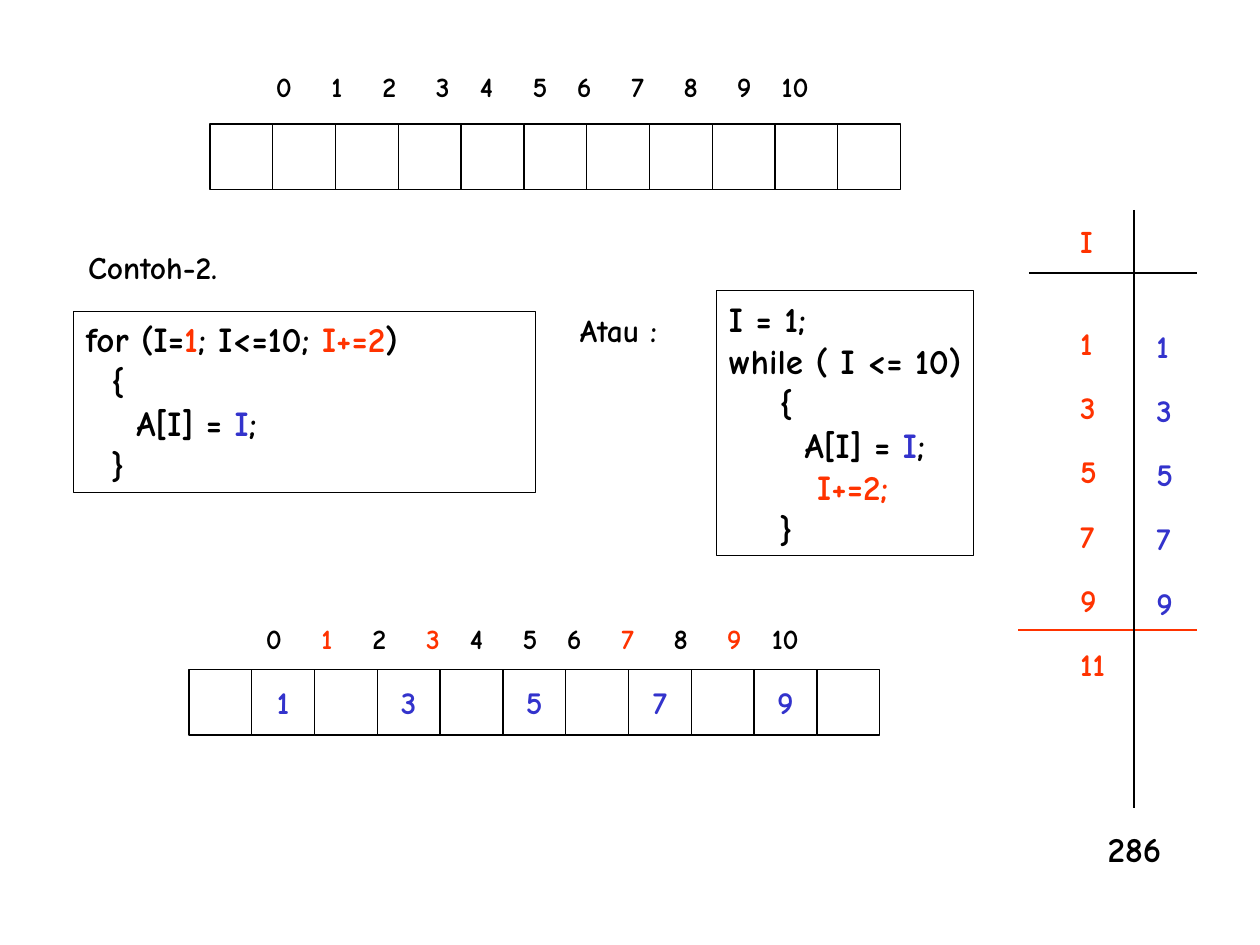
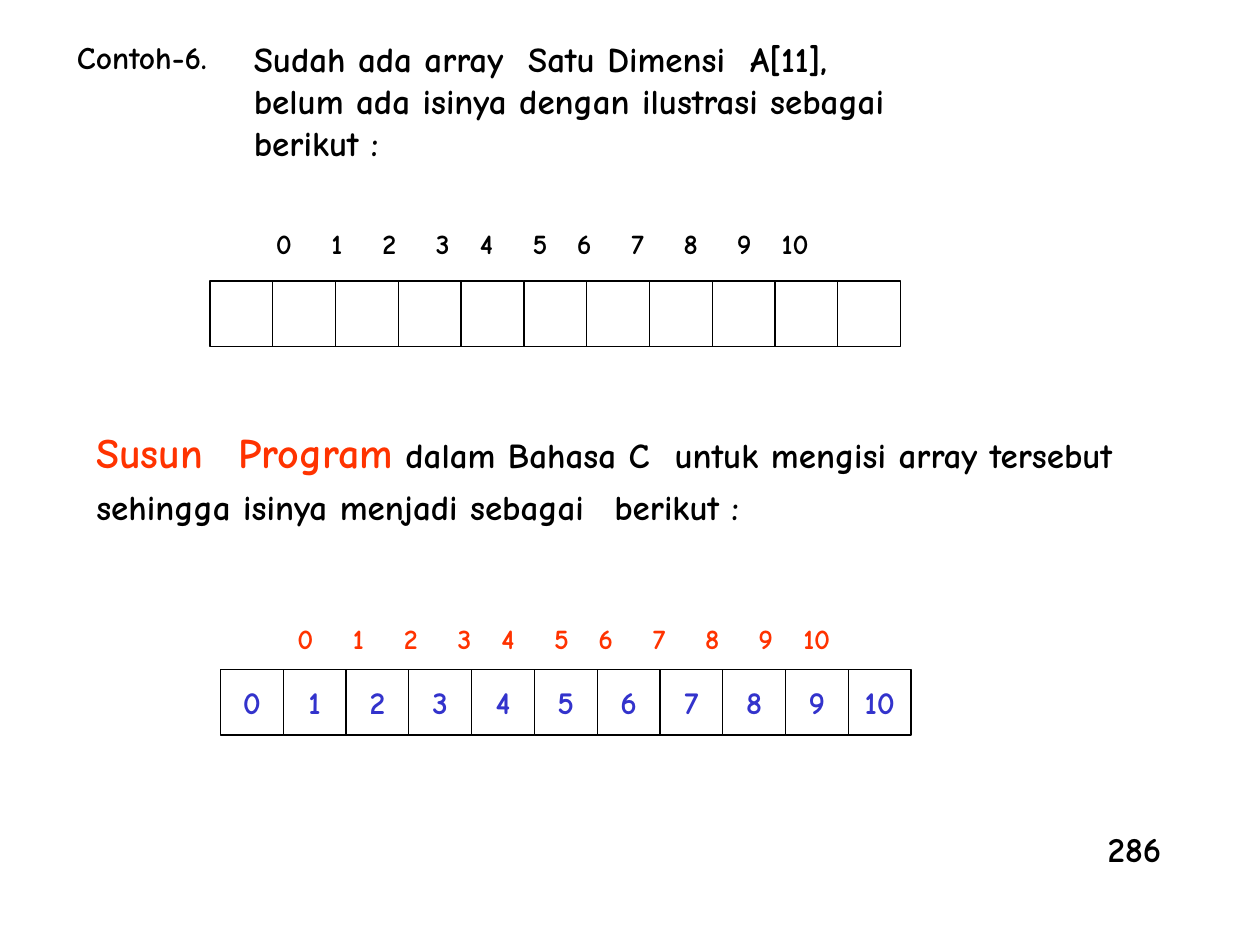
from collections import namedtuple
from itertools import accumulate

from lxml import etree
from pptx import Presentation
from pptx import util as u
from pptx.dml.color import RGBColor
from pptx.enum import shapes, text
from pptx.oxml import ns

COLUMNS, ROWS = 120, 90
UNIT = u.Inches(10) / COLUMNS
FONT = "Comic Neue"
BLACK, RED, BLUE = "000000", "FF3300", "3333CC"
CELL_WIDTH, CELL_HEIGHT, CELL_COUNT = 5.98, 6.25, 11
LABEL_CENTRES = list(accumulate([1.75, 5.05, 5, 5.1, 4.15, 5.1, 4.2, 5.1, 5.05, 5.1, 4.85]))
INDENT = 1.2

Box = namedtuple("Box", "column row width height")
Run = namedtuple("Run", "words color size", defaults=(BLACK, None))


def grid(units):
    """Turn grid units into a length."""
    return u.Emu(round(units * UNIT))


def place(box):
    """Return the four values of a grid box as lengths."""
    return [grid(value) for value in box]


def color(hex_string):
    """Return the colour for a hex string."""
    return RGBColor.from_string(hex_string)


def add_paragraph(frame, runs, size, indent=0):
    """Write runs into the next free paragraph of a frame."""
    paragraph = frame.paragraphs[0]
    if paragraph.runs:
        paragraph = frame.add_paragraph()
    if indent:
        properties = paragraph._p.get_or_add_pPr()
        properties.set("marL", str(grid(indent * INDENT)))
        properties.set("indent", "0")
    for piece in runs:
        run = paragraph.add_run()
        run.text = piece.words
        run.font.name, run.font.bold = FONT, True
        run.font.size = u.Pt(piece.size or size)
        run.font.color.rgb = color(piece.color)
    return paragraph


def add_text(slide, box, lines, size=18):
    """Add a wrapping text box with one paragraph for each list of runs."""
    frame = slide.shapes.add_textbox(*place(box)).text_frame
    frame.word_wrap = True
    return [add_paragraph(frame, runs, size) for runs in lines]


def add_frame(slide, box):
    """Add an unfilled rectangle with a thin black line."""
    shape = slide.shapes.add_shape(shapes.MSO_SHAPE.RECTANGLE, *place(box))
    shape.shadow.inherit = False
    shape.fill.background()
    shape.line.color.rgb = color(BLACK)
    shape.line.width = u.Pt(0.75)
    return shape


def add_line(slide, start, end, line_color=BLACK):
    """Add a thin straight line between two grid points."""
    line = slide.shapes.add_connector(
        shapes.MSO_CONNECTOR.STRAIGHT, *place((*start, *end)))
    line.line.color.rgb = color(line_color)
    line.line.width = u.Pt(0.75)
    etree.SubElement(line._element.spPr, ns.qn("a:effectLst"))


def add_code(slide, box, lines):
    """Add a framed listing from pairs of indent and runs."""
    frame = add_frame(slide, box).text_frame
    frame.word_wrap = False
    frame.vertical_anchor = text.MSO_ANCHOR.TOP
    for indent, runs in lines:
        paragraph = add_paragraph(frame, runs, 20, indent)
        paragraph.alignment = text.PP_ALIGN.LEFT


def add_index_labels(slide, column, row, colors):
    """Add the labels 0 to 10 on centred tab stops."""
    runs = [Run(f"\t{index}", label_color) for index, label_color in enumerate(colors)]
    paragraph = add_text(slide, Box(column, row, 57, 4.4), [runs], 16)[0]
    tabs = etree.SubElement(paragraph._p.get_or_add_pPr(), ns.qn("a:tabLst"))
    for centre in LABEL_CENTRES:
        etree.SubElement(tabs, ns.qn("a:tab"), pos=str(grid(centre)), algn="ctr")


def add_array(slide, column, row, values=None, label_colors=None, label_offset=(4.1, -5.8)):
    """Add a row of array cells with index labels above."""
    values = values or {}
    for index in range(CELL_COUNT):
        cell = add_frame(slide, Box(column + index * CELL_WIDTH, row, CELL_WIDTH, CELL_HEIGHT))
        if index in values:
            frame = cell.text_frame
            frame.word_wrap = False
            frame.vertical_anchor = text.MSO_ANCHOR.MIDDLE
            paragraph = add_paragraph(frame, [Run(str(values[index]), BLUE)], 18)
            paragraph.alignment = text.PP_ALIGN.CENTER
    shift, rise = label_offset
    add_index_labels(slide, column + shift, row + rise, label_colors or [BLACK] * CELL_COUNT)


def add_trace(slide, box, steps, stop):
    """Add the trace of I beside the stored values."""
    column, row, width, height = box
    right, divider = column + width, column + 11
    counters = [[Run(str(step), RED)] for step in ["I", *steps, stop]]
    header, *counted = add_text(slide, Box(column + 4.7, row + 0.55, 6, 45.1), counters)
    stored = add_text(slide, Box(column + 11.95, row + 8, 5, 31.8),
                      [[Run(str(step), BLUE)] for step in steps])
    for paragraph in counted + stored:
        paragraph.line_spacing = 1.7
    header.space_after = u.Pt(21.6)
    add_line(slide, (column + 1, row + 6), (right, row + 6))
    add_line(slide, (column, row + 40), (right, row + 40), RED)
    add_line(slide, (divider, row), (divider, row + height))


def add_heading(slide, column, row, words):
    """Add the label of an example."""
    add_text(slide, Box(column, row, 16, 4.8), [[Run(words)]])


def add_page_number(slide):
    """Add the number at the lower right."""
    add_text(slide, Box(104.3, 78.25, 10, 5.25), [[Run("286")]], 20)


def build_loop_slide(slide):
    """Show two equal loops, their trace and the filled array."""
    odd = range(1, 10, 2)
    assignment = [Run("A[I] = "), Run("I", BLUE), Run(";")]
    add_code(slide, Box(7, 29.65, 44, 17.25), [
        (0, [Run("for (I="), Run("1", RED), Run("; I<=10; "), Run("I+=2", RED), Run(")")]),
        (2, [Run("{")]),
        (4, assignment),
        (2, [Run("}")]),
    ])
    add_text(slide, Box(54.05, 29.05, 12, 4.8), [[Run("Atau :")]])
    add_code(slide, Box(68.25, 27.7, 24.5, 25.2), [
        (0, [Run("I = 1;")]),
        (0, [Run("while ( I <= 10)")]),
        (4, [Run("{")]),
        (6, assignment),
        (7, [Run("I+=2;", RED)]),
        (4, [Run("}")]),
    ])
    add_array(slide, 20, 11.8)
    add_heading(slide, 7.2, 23, "Contoh-2.")
    visited = [RED if index in (1, 3, 7, 9) else BLACK for index in range(CELL_COUNT)]
    add_array(slide, 18, 63.75, {step: step for step in odd}, visited, (5.15, -5.15))
    add_trace(slide, Box(97, 20, 17, 57), odd, 11)
    add_page_number(slide)


def build_task_slide(slide):
    """Show the task with the empty and the filled array."""
    add_text(slide, Box(23, 3, 72.35, 13.2), [
        [Run("Sudah ada array  Satu Dimensi  A[11],")],
        [Run("belum ada isinya dengan ilustrasi sebagai berikut :")],
    ], 20)
    add_text(slide, Box(8, 39.35, 107, 11.65), [[
        Run("Susun", RED, 24), Run("  ", RED, 28), Run("Program", RED, 24),
        Run(" dalam Bahasa C  untuk mengisi array tersebut sehingga isinya menjadi sebagai"),
        Run("  ", size=24), Run("berikut :"),
    ]], 20)
    add_heading(slide, 6.15, 3, "Contoh-6.")
    add_array(slide, 20, 26.75)
    add_array(slide, 21, 63.75, {index: index for index in range(CELL_COUNT)},
              [RED] * CELL_COUNT, (5.15, -5.15))
    add_page_number(slide)


def main():
    """Build and save the presentation."""
    presentation = Presentation()
    presentation.slide_width, presentation.slide_height = grid(COLUMNS), grid(ROWS)
    for build in (build_loop_slide, build_task_slide):
        build(presentation.slides.add_slide(presentation.slide_layouts[6]))
    presentation.save("out.pptx")


if __name__ == "__main__":
    main()
